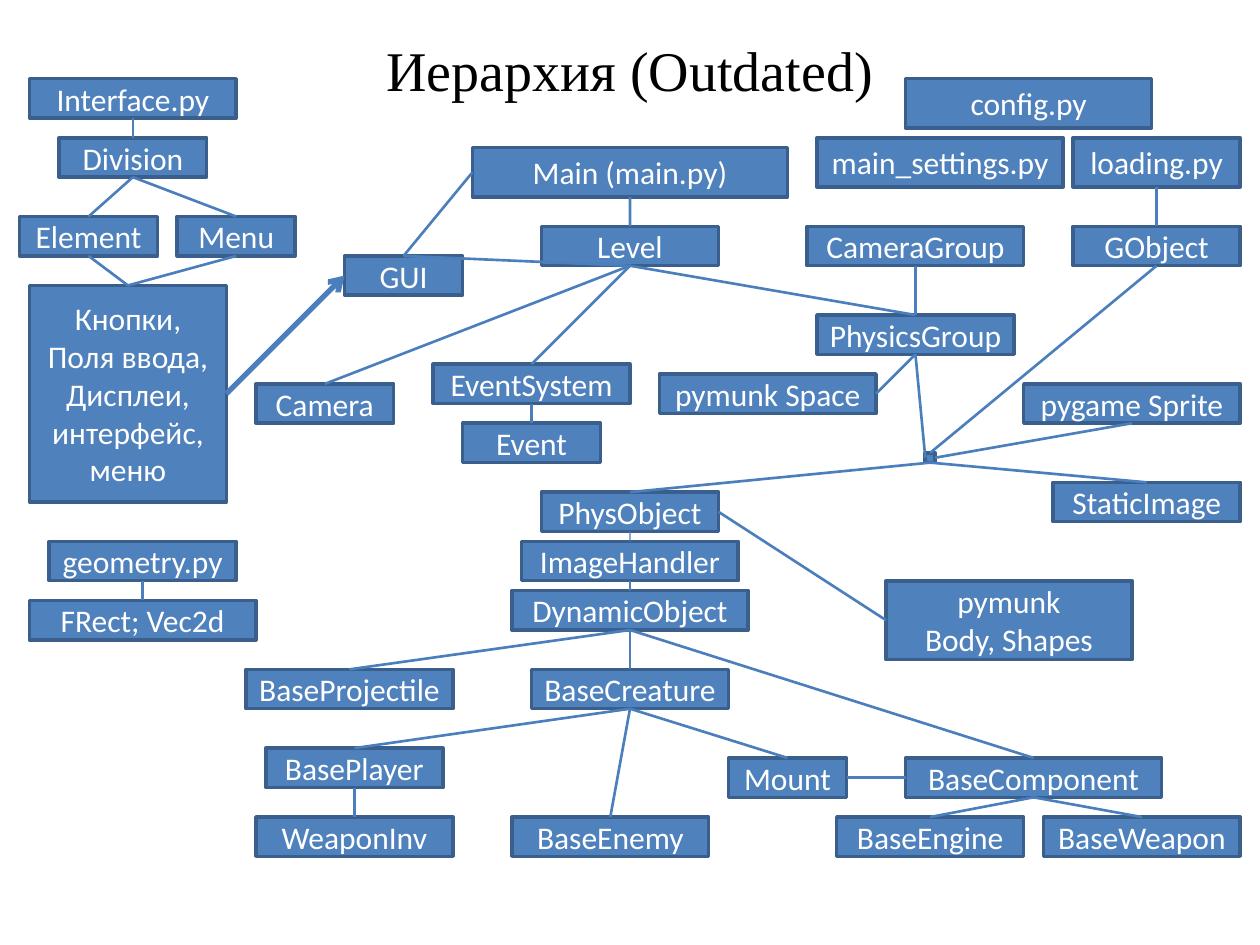
"""Build the class hierarchy slide: module boxes on a 128-column grid, joined by glued connectors."""
from lxml import etree
from pptx import Presentation
from pptx.dml.color import RGBColor
from pptx.enum.shapes import MSO_CONNECTOR, MSO_SHAPE
from pptx.enum.text import MSO_ANCHOR, MSO_AUTO_SIZE, PP_ALIGN
from pptx.oxml.ns import qn
from pptx.util import Inches, Pt

RECTANGLE = MSO_SHAPE.RECTANGLE
STRAIGHT = MSO_CONNECTOR.STRAIGHT
MIDDLE = MSO_ANCHOR.MIDDLE
GROW = MSO_AUTO_SIZE.SHAPE_TO_FIT_TEXT
CENTER = PP_ALIGN.CENTER
TOP, LEFT, BOTTOM, RIGHT = range(4)

THEME = {
    "title_font": "Times New Roman", "title_size": Pt(32), "title_color": RGBColor.from_string("000000"),
    "box_font": "Calibri", "box_size": Pt(18), "box_color": RGBColor.from_string("FFFFFF"),
    "fill": RGBColor.from_string("4F81BD"), "border": RGBColor.from_string("3A5F8C"), "border_width": Pt(2),
    "link": RGBColor.from_string("4B7EBC"), "link_width": Pt(1.5), "stack_width": Pt(0.75), "arrow_width": Pt(3),
}

presentation = Presentation()
presentation.slide_width, presentation.slide_height = Inches(10), Inches(7.5)
slide = presentation.slides.add_slide(presentation.slide_layouts[6])
COLUMNS = 128
cell = presentation.slide_width / COLUMNS


def grid(*counts):
    """Turn grid counts into lengths."""
    return [round(count * cell) for count in counts]


def connect(container, start, start_side, end, end_side, width):
    """Glue a straight connector between the sides of two boxes."""
    connector = container.add_connector(STRAIGHT, 0, 0, 0, 0)
    connector.begin_connect(start, start_side)
    connector.end_connect(end, end_side)
    connector.line.color.rgb = THEME["link"]
    connector.line.width = width
    etree.SubElement(connector._element.spPr, qn("a:effectLst"))
    return connector


title = slide.shapes.add_textbox(*grid(29, 3, 70, 8.2))
title.text_frame.word_wrap = True
title.text_frame.auto_size = GROW
paragraph = title.text_frame.paragraphs[0]
paragraph.text = "Иерархия (Outdated)"
paragraph.alignment = CENTER
paragraph.font.name = THEME["title_font"]
paragraph.font.size = THEME["title_size"]
paragraph.font.color.rgb = THEME["title_color"]

# name: column, row, columns wide, rows high
BOXES = {
    "Main (main.py)": (48, 15, 32, 5),
    "GUI": (35, 26, 12, 4),
    "Level": (55, 23, 18, 4),
    "geometry.py": (5, 55, 19, 4),
    "FRect; Vec2d": (3, 61, 23, 4),
    "CameraGroup": (82, 23, 22, 4),
    "PhysicsGroup": (83, 32, 20, 4),
    "Camera": (26, 39, 14, 4),
    "EventSystem": (44, 37, 20, 4),
    "Event": (47, 43, 14, 4),
    "pygame Sprite": (104, 39, 22, 4),
    "StaticImage": (107, 49, 19, 4),
    "": (94, 46, 1, 1),
    "PhysObject": (55, 50, 18, 4),
    "ImageHandler": (53, 55, 22, 4),
    "DynamicObject": (52, 60, 24, 4),
    "loading.py": (109, 14, 17, 5),
    "main_settings.py": (83, 14, 25, 5),
    "config.py": (92, 8, 25, 5),
    "GObject": (109, 23, 17, 4),
    "BaseCreature": (54, 68, 20, 4),
    "BaseComponent": (92, 77, 26, 4),
    "BaseProjectile": (25, 68, 21, 4),
    "Mount": (74, 77, 12, 4),
    "BaseEngine": (85, 83, 19, 4),
    "BaseWeapon": (106, 83, 20, 4),
    "BasePlayer": (27, 76, 18, 4),
    "BaseEnemy": (52, 83, 20, 4),
    "WeaponInv": (26, 83, 20, 4),
    "Interface.py": (3, 8, 21, 4),
    "Division": (6, 14, 15, 4),
    "Element": (2, 22, 14, 4),
    "Menu": (18, 22, 12, 4),
    "Кнопки, Поля ввода, Дисплеи, интерфейс, меню": (3, 29, 20, 22),
    "pymunk Space": (67, 38, 22, 4),
    "pymunk\nBody, Shapes": (90, 59, 25, 8),
}
JUNCTION = ""
WIDGETS = "Кнопки, Поля ввода, Дисплеи, интерфейс, меню"
STACK = ["PhysObject", "ImageHandler", "DynamicObject"]

stack_group = slide.shapes.add_group_shape()
boxes = {}
for name, place in BOXES.items():
    container = stack_group.shapes if name in STACK else slide.shapes
    shape = container.add_shape(RECTANGLE, *grid(*place))
    shape.shadow.inherit = False
    shape.fill.solid()
    shape.fill.fore_color.rgb = THEME["fill"]
    shape.line.color.rgb = THEME["border"]
    shape.line.width = THEME["border_width"]
    boxes[name] = shape
    if name == JUNCTION:
        continue
    shape.text_frame.word_wrap = True
    shape.text_frame.vertical_anchor = MIDDLE
    shape.text_frame.text = name
    for paragraph in shape.text_frame.paragraphs:
        paragraph.alignment = CENTER
        paragraph.font.name = THEME["box_font"]
        paragraph.font.size = THEME["box_size"]
        paragraph.font.color.rgb = THEME["box_color"]

CHILDREN = {
    "Main (main.py)": ["Level"],
    "Level": ["GUI", "PhysicsGroup", "Camera", "EventSystem"],
    "geometry.py": ["FRect; Vec2d"],
    "CameraGroup": ["PhysicsGroup"],
    "EventSystem": ["Event"],
    "loading.py": ["GObject"],
    "GObject": [JUNCTION],
    JUNCTION: ["StaticImage", "PhysObject"],
    "DynamicObject": ["BaseProjectile", "BaseCreature", "BaseComponent"],
    "BaseCreature": ["BasePlayer", "BaseEnemy", "Mount"],
    "BasePlayer": ["WeaponInv"],
    "BaseComponent": ["BaseEngine", "BaseWeapon"],
    "Interface.py": ["Division"],
    "Division": ["Element", "Menu"],
    "Element": [WIDGETS],
    "Menu": [WIDGETS],
}
SIDE_LINKS = [
    ("Main (main.py)", LEFT, "GUI", TOP),
    ("pygame Sprite", BOTTOM, JUNCTION, RIGHT),
    ("PhysicsGroup", BOTTOM, JUNCTION, LEFT),
    ("pymunk Space", RIGHT, "PhysicsGroup", BOTTOM),
    ("PhysObject", RIGHT, "pymunk\nBody, Shapes", LEFT),
    ("Mount", RIGHT, "BaseComponent", LEFT),
]
links = [(parent, BOTTOM, child, TOP) for parent, children in CHILDREN.items() for child in children]
for start, start_side, end, end_side in links + SIDE_LINKS:
    connect(slide.shapes, boxes[start], start_side, boxes[end], end_side, THEME["link_width"])

for upper, lower in zip(STACK, STACK[1:]):
    connect(stack_group.shapes, boxes[upper], BOTTOM, boxes[lower], TOP, THEME["stack_width"])

arrow = connect(slide.shapes, boxes[WIDGETS], RIGHT, boxes["GUI"], LEFT, THEME["arrow_width"])
etree.SubElement(arrow.line._get_or_add_ln(), qn("a:tailEnd"), type="arrow")

presentation.save("out.pptx")
